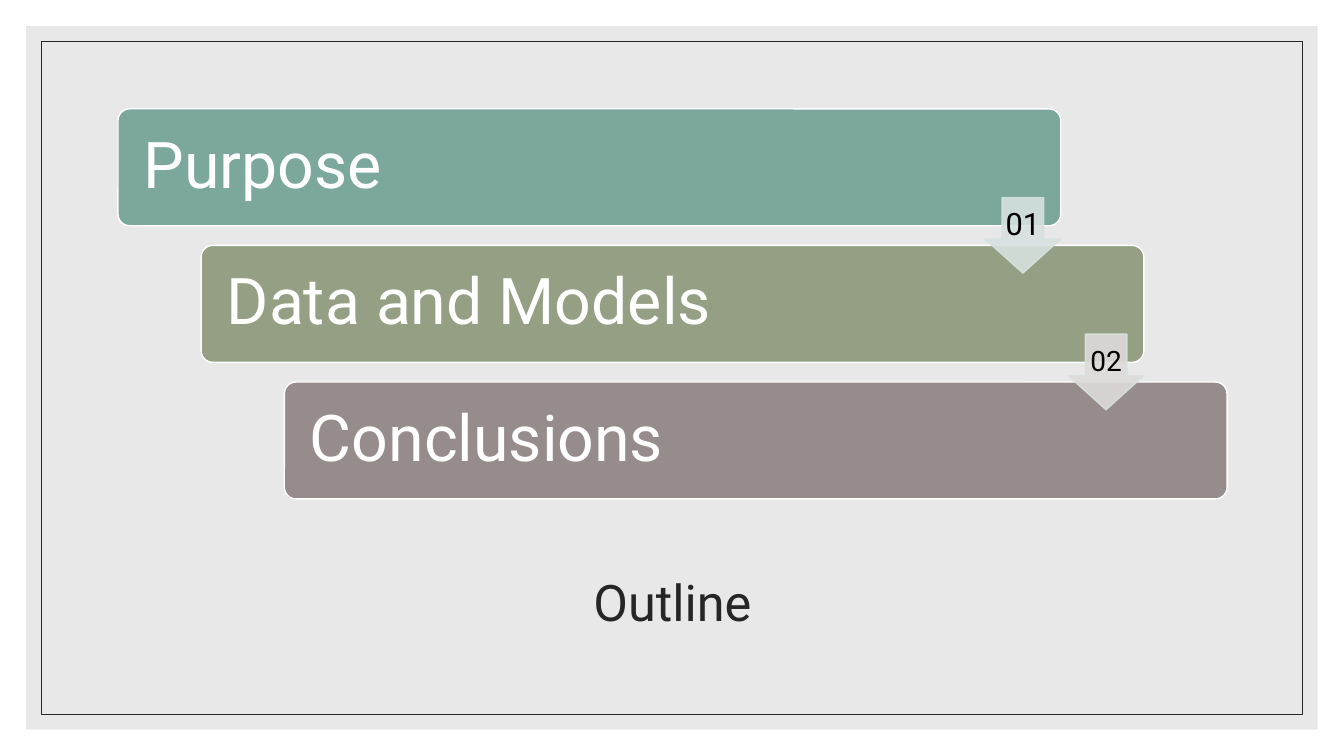
from dataclasses import dataclass

from lxml.etree import SubElement
from pptx import Presentation
from pptx.dml.color import RGBColor
from pptx.enum.shapes import MSO_SHAPE
from pptx.enum.text import MSO_ANCHOR, PP_ALIGN
from pptx.oxml.ns import qn
from pptx.util import Inches, Pt


@dataclass(frozen=True)
class Theme:
    font: str = "Roboto"
    white: str = "FFFFFF"
    black: str = "000000"
    dark: str = "262626"
    panel: str = "D9D9D9"
    arrow_line: str = "D7E1DF"
    title_size: int = 36
    step_size: int = 46


theme = Theme()


def add_box(kind, left, top, width, height, fill=None, line=None, line_width=1, opacity=100):
    """Add a shape, in inches, whose fill and line share one opacity in percent."""
    shape = slide.shapes.add_shape(kind, Inches(left), Inches(top), Inches(width), Inches(height))
    shape.shadow.inherit = False
    for target, color in ((shape.fill, fill), (shape.line.fill, line)):
        if color:
            target.solid()
            target.fore_color.rgb = RGBColor.from_string(color)
        else:
            target.background()
    if line:
        shape.line.width = Pt(line_width)
    if opacity < 100:
        for color_element in shape.element.spPr.iter(qn("a:srgbClr")):
            SubElement(color_element, qn("a:alpha"), val=str(opacity * 1000))
    return shape


def set_text(shape, text, size, color, alignment, side_margin, wrap=True):
    frame = shape.text_frame
    frame.word_wrap = wrap
    frame.vertical_anchor = MSO_ANCHOR.MIDDLE
    frame.margin_left = frame.margin_right = Inches(side_margin)
    frame.margin_top = frame.margin_bottom = Inches(0.03)
    paragraph = frame.paragraphs[0]
    paragraph.text = text
    paragraph.alignment = alignment
    paragraph.line_spacing = 0.9
    paragraph.font.name = theme.font
    paragraph.font.size = Pt(size)
    paragraph.font.color.rgb = RGBColor.from_string(color)


slide_width, slide_height = 13.33, 7.5
presentation = Presentation()
presentation.slide_width = Inches(slide_width)
presentation.slide_height = Inches(slide_height)
slide = presentation.slides.add_slide(presentation.slide_layouts[5])
slide.background.fill.solid()
slide.background.fill.fore_color.rgb = RGBColor.from_string(theme.white)

# Panel and frame, each inset equally from the slide edges
for inset, style in (
    (0.26, {"fill": theme.panel, "opacity": 60}),
    (0.41, {"line": theme.dark, "line_width": 0.5}),
):
    add_box(MSO_SHAPE.RECTANGLE, inset, inset,
            slide_width - 2 * inset, slide_height - 2 * inset, **style)

# Title, brought in front of the panel
title = slide.shapes.title
title.left, title.top, title.width, title.height = map(Inches, (1.17, 5.25, 11, 1.5))
set_text(title, "Outline", theme.title_size, theme.dark, PP_ALIGN.CENTER, 0.1)
slide.shapes.element.append(title.element)

# Staggered steps
first_left, first_top = 1.17, 1.08
step_right, step_down = 0.825, 1.355
bar_width, bar_height = 9.35, 1.16
steps = (("Purpose", "7BA79D"), ("Data and Models", "949F83"), ("Conclusions", "968C8C"))
for index, (label, color) in enumerate(steps):
    bar = add_box(MSO_SHAPE.ROUNDED_RECTANGLE,
                  first_left + index * step_right, first_top + index * step_down,
                  bar_width, bar_height, color, theme.white)
    bar.adjustments[0] = 0.1
    set_text(bar, label, theme.step_size, theme.white, PP_ALIGN.LEFT, 0.22)

# Numbered arrows, flush with the right end of the bar above
arrow_size, arrow_drop = 0.75, 0.88
arrows = (("01", 22, "D7E1DF"), ("02", 20, "DDDADA"))
for index, (number, size, color) in enumerate(arrows):
    arrow = add_box(MSO_SHAPE.DOWN_ARROW,
                    first_left + bar_width - arrow_size + index * step_right,
                    first_top + arrow_drop + index * step_down,
                    arrow_size, arrow_size, color, theme.arrow_line, opacity=90)
    arrow.adjustments[0] = 0.55
    arrow.adjustments[1] = 0.45
    set_text(arrow, number, size, theme.black, PP_ALIGN.CENTER, 0.03, wrap=False)

presentation.save("out.pptx")
